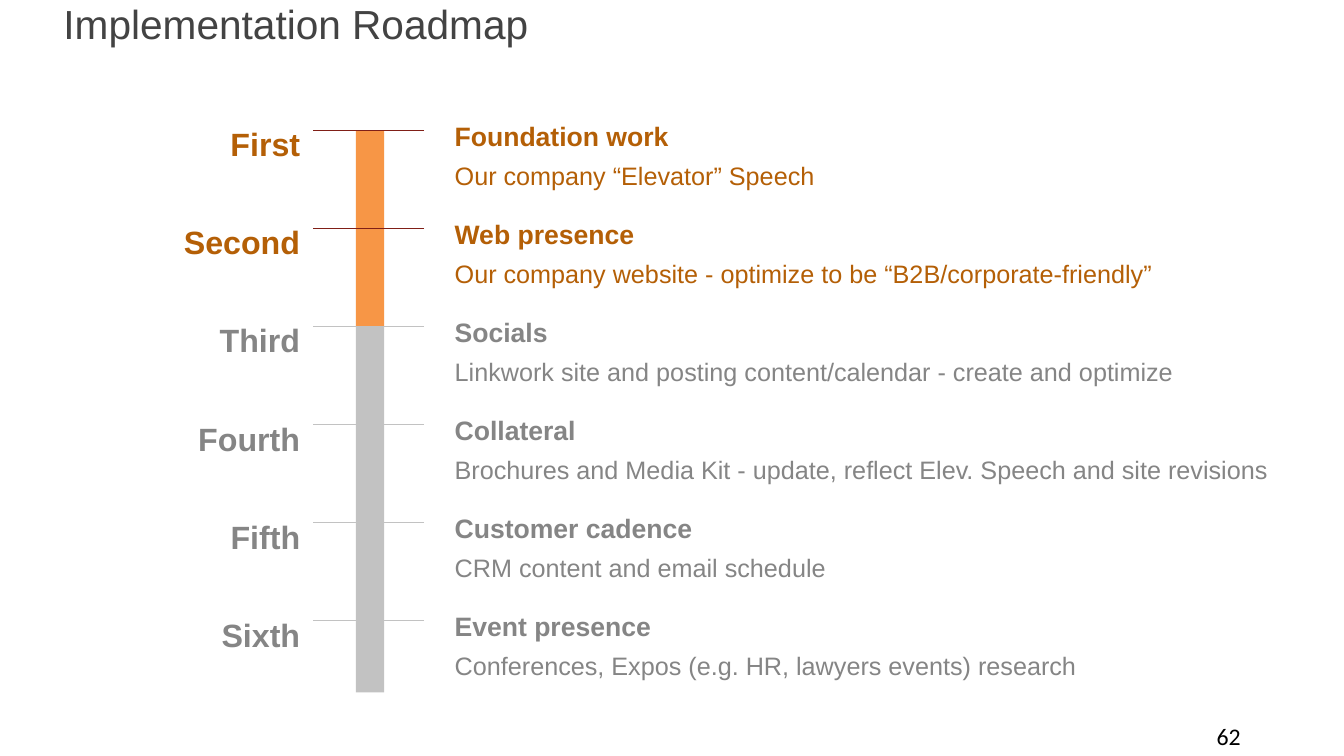
from dataclasses import dataclass

import pptx
import pptx.dml.color
import pptx.enum.shapes
import pptx.enum.text
import pptx.oxml.ns
import pptx.util
from lxml import etree

Cm = pptx.util.Cm
ALIGN = pptx.enum.text.PP_ALIGN
ANCHOR = pptx.enum.text.MSO_ANCHOR


@dataclass(frozen=True)
class TextStyle:
    size: float
    color: str
    bold: bool = False
    font: str = "Arial"
    align: ALIGN = ALIGN.LEFT
    anchor: ANCHOR = ANCHOR.TOP
    spacing: float = 1.0
    after: float = 0
    inset_x: float = 0.33
    inset_y: float = 0.33


@dataclass(frozen=True)
class Palette:
    text: str
    bar: str
    tick: str


@dataclass(frozen=True)
class Theme:
    current: Palette = Palette("B45F06", "F79646", "801F17")
    later: Palette = Palette("858585", "C2C2C2", "C2C2C2")
    title_color: str = "434343"
    page_color: str = "000000"
    title_size: float = 29
    page_size: float = 17
    label_size: float = 23
    heading_size: float = 19
    detail_size: float = 18
    tick_width: float = 0.75


@dataclass(frozen=True)
class Box:
    left: float
    top: float
    width: float
    height: float


@dataclass(frozen=True)
class Step:
    label: str
    heading: str
    detail: str
    palette: Palette
    detail_width: float = 18.6
    bar_height: float = 2.47


THEME = Theme()
STEPS = (
    Step("First", "Foundation work", "Our company “Elevator” Speech", THEME.current),
    Step("Second", "Web presence",
         "Our company website - optimize to be “B2B/corporate-friendly”", THEME.current),
    Step("Third", "Socials",
         "Linkwork site and posting content/calendar - create and optimize",
         THEME.later, detail_width=21.34),
    Step("Fourth", "Collateral",
         "Brochures and Media Kit - update, reflect Elev. Speech and site revisions",
         THEME.later, detail_width=21.92),
    Step("Fifth", "Customer cadence", "CRM content and email schedule", THEME.later),
    Step("Sixth", "Event presence",
         "Conferences, Expos (e.g. HR, lawyers events) research",
         THEME.later, bar_height=1.8),
)
FIRST_TOP, STEP_PITCH = 3.29, 2.47
LABEL_LEFT, TICK_LEFT, BAR_LEFT, TICK_RIGHT, TEXT_LEFT = 3.91, 7.9, 8.97, 10.69, 11.13


def rgb(color: str) -> pptx.dml.color.RGBColor:
    return pptx.dml.color.RGBColor.from_string(color)


def place(sp, box: Box) -> None:
    sp.left, sp.top = Cm(box.left), Cm(box.top)
    sp.width, sp.height = Cm(box.width), Cm(box.height)


def write(sp, text: str, style: TextStyle) -> None:
    tf = sp.text_frame
    tf.text = text
    tf.word_wrap = True
    tf.auto_size = pptx.enum.text.MSO_AUTO_SIZE.NONE
    tf.vertical_anchor = style.anchor
    tf.margin_left = tf.margin_right = Cm(style.inset_x)
    tf.margin_top = tf.margin_bottom = Cm(style.inset_y)
    p = tf.paragraphs[0]
    p.alignment = style.align
    p.line_spacing = style.spacing
    p.space_after = pptx.util.Pt(style.after)
    p.font.name = style.font
    p.font.size = pptx.util.Pt(style.size)
    p.font.bold = style.bold
    p.font.color.rgb = rgb(style.color)


def add_text(s, box: Box, text: str, style: TextStyle) -> None:
    sp = s.shapes.add_textbox(0, 0, 0, 0)
    place(sp, box)
    write(sp, text, style)


def add_bar(s, box: Box, color: str) -> None:
    sp = s.shapes.add_shape(pptx.enum.shapes.MSO_SHAPE.RECTANGLE, 0, 0, 0, 0)
    place(sp, box)
    sp.shadow.inherit = False
    sp.fill.solid()
    sp.fill.fore_color.rgb = rgb(color)
    sp.line.fill.background()


def add_tick(s, top: float, color: str) -> None:
    line = s.shapes.add_connector(pptx.enum.shapes.MSO_CONNECTOR.STRAIGHT,
                                  Cm(TICK_RIGHT), Cm(top), Cm(TICK_LEFT), Cm(top))
    line.line.color.rgb = rgb(color)
    line.line.width = pptx.util.Pt(THEME.tick_width)
    sp_pr = line._element.find(pptx.oxml.ns.qn("p:spPr"))
    etree.SubElement(sp_pr, pptx.oxml.ns.qn("a:effectLst"))


def add_step(s, step: Step, top: float) -> None:
    """Draw one stage: heading, detail, ordinal label, bar section and tick."""
    color = step.palette.text
    add_text(s, Box(TEXT_LEFT, top - 0.72, 18.6, 1.02), step.heading,
             TextStyle(THEME.heading_size, color, bold=True, spacing=1.15))
    add_text(s, Box(TEXT_LEFT, top + 0.3, step.detail_width, 1.52), step.detail,
             TextStyle(THEME.detail_size, color, spacing=1.15, after=21))
    add_text(s, Box(LABEL_LEFT, top - 0.62, 3.99, 1.3), step.label,
             TextStyle(THEME.label_size, color, bold=True, align=ALIGN.RIGHT, spacing=1.15))
    add_bar(s, Box(BAR_LEFT, top + 0.01, 0.71, step.bar_height), step.palette.bar)
    add_tick(s, top, step.palette.tick)


def main() -> None:
    prs = pptx.Presentation()
    prs.slide_width, prs.slide_height = Cm(33.87), Cm(19.05)
    s = prs.slides.add_slide(prs.slide_layouts[5])
    title = s.shapes.title
    place(title, Box(1.6, 0, 30.48, 1.19))
    write(title, "Implementation Roadmap",
          TextStyle(THEME.title_size, THEME.title_color, anchor=ANCHOR.MIDDLE,
                    inset_x=0, inset_y=0))
    add_text(s, Box(30.33, 18.03, 3.53, 1.02), "62",
             TextStyle(THEME.page_size, THEME.page_color, font="Calibri",
                       anchor=ANCHOR.MIDDLE, inset_y=0.18))
    for i, step in enumerate(STEPS):
        add_step(s, step, FIRST_TOP + i * STEP_PITCH)
    prs.save("out.pptx")


if __name__ == "__main__":
    main()
